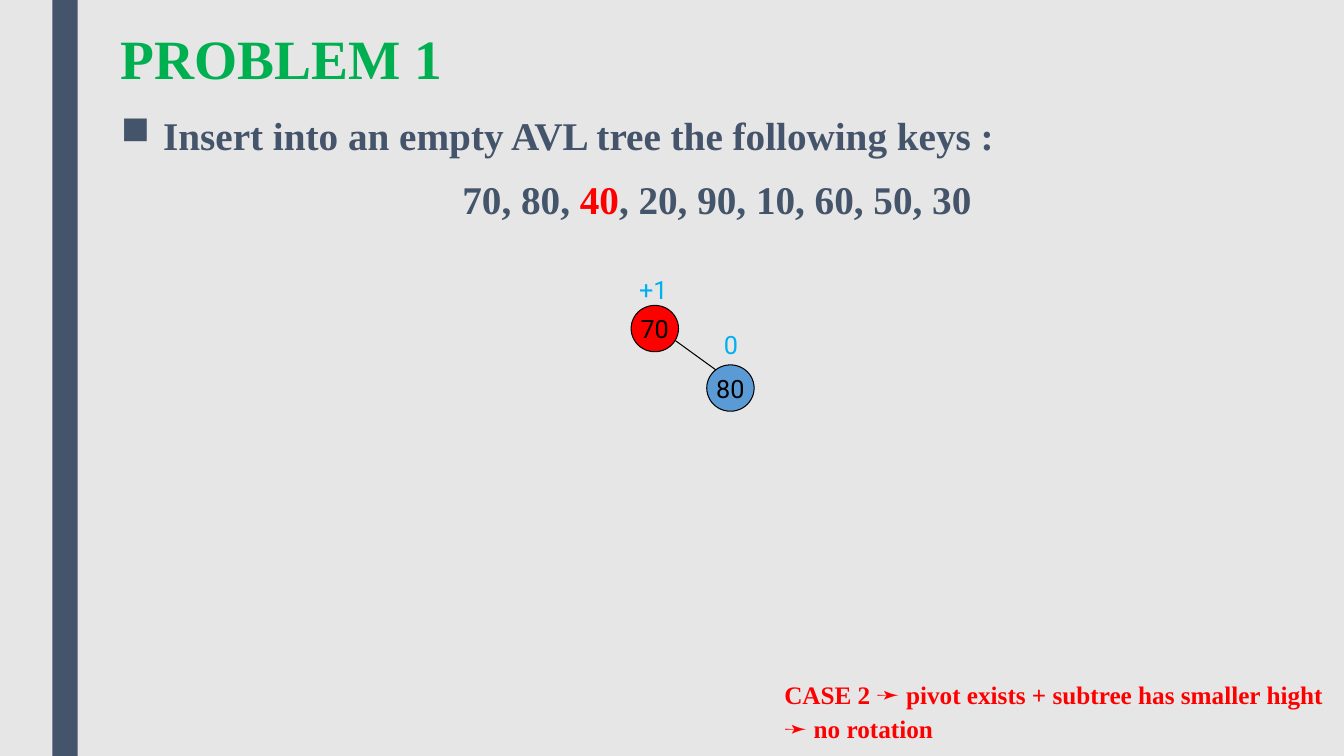
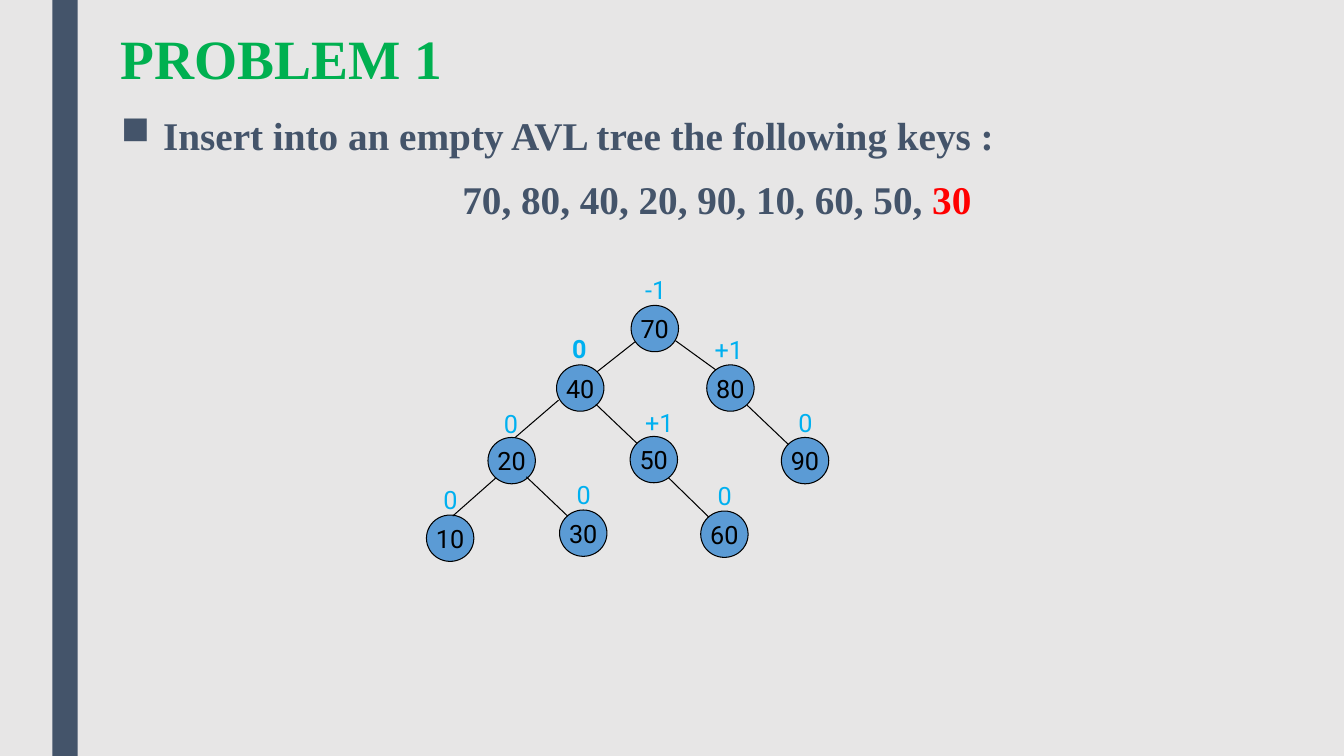
from dataclasses import dataclass

from lxml.etree import SubElement
from pptx import Presentation
from pptx.dml.color import RGBColor
from pptx.enum.shapes import MSO_CONNECTOR as Connector, MSO_SHAPE as Shape
from pptx.enum.text import MSO_ANCHOR as Anchor, MSO_AUTO_SIZE as AutoSize, PP_ALIGN as Align
from pptx.oxml.ns import qn
from pptx.util import Inches, Pt


@dataclass(frozen=True)
class Theme:
    paper: str = "E7E6E6"
    slate: str = "44546A"
    green: str = "00B050"
    red: str = "FF0000"
    blue: str = "5B9BD5"
    sky: str = "00B0F0"
    ink: str = "000000"
    serif: str = "Times New Roman"
    sans: str = "Roboto"
    title_size: float = 39.6
    body_size: int = 28
    small_size: int = 18


theme = Theme()
rgb = RGBColor.from_string

heading_font = {"name": theme.serif, "size": Pt(theme.title_size), "bold": True}
body_font = {"name": theme.serif, "size": Pt(theme.body_size), "bold": True}
note_font = {"name": theme.serif, "size": Pt(theme.small_size), "bold": True}
node_font = {"name": theme.sans, "size": Pt(theme.small_size), "bold": False}


def add_text(paragraph, text, font, color):
    run = paragraph.add_run()
    run.text = text
    for attribute, value in font.items():
        setattr(run.font, attribute, value)
    run.font.color.rgb = rgb(color)


def add_label(slide, left, top, width, text, font, color, align=Align.LEFT):
    frame = slide.shapes.add_textbox(Inches(left), Inches(top), Inches(width), Inches(0.4)).text_frame
    frame.word_wrap = False
    frame.auto_size = AutoSize.SHAPE_TO_FIT_TEXT
    frame.paragraphs[0].alignment = align
    add_text(frame.paragraphs[0], text, font, color)


title_text = "PROBLEM 1"
task = "Insert into an empty AVL tree the following keys :"
keys = "70, 80, 40, 20, 90, 10, 60, 50, 30"

node_places = {
    70: (6.26, 3.03),
    40: (5.52, 3.62),
    80: (7.01, 3.62),
    20: (4.84, 4.34),
    50: (6.25, 4.33),
    90: (7.75, 4.34),
    10: (4.23, 5.11),
    30: (5.55, 5.06),
    60: (6.95, 5.07),
}
edges_to_child = {
    40: (6.3, 3.39, 5.92, 3.69),
    80: (6.7, 3.38, 7.1, 3.67),
    20: (5.54, 3.97, 5.11, 4.34),
    50: (5.91, 4.01, 6.32, 4.4),
    90: (7.41, 4.02, 7.82, 4.41),
    10: (4.92, 4.74, 4.49, 5.12),
    30: (5.22, 4.73, 5.63, 5.12),
    60: (6.63, 4.74, 7.03, 5.13),
}
balance_widths = {"0": 0.35, "+1": 0.5, "-1": 0.41}

steps = [
    {
        "inserted": "40",
        "pivot": 70,
        "changed": None,
        "balances": {70: ("+1", 6.24, 2.67), 80: ("0", 7.08, 3.22)},
        "notes": [
            ("CASE 2 ➛ pivot exists + subtree has smaller hight", 6.69, 5.58),
            ("➛ no rotation", 7.03, 1.68),
        ],
    },
    {
        "inserted": "30",
        "pivot": None,
        "changed": 40,
        "balances": {
            70: ("-1", 6.3, 2.67),
            40: ("0", 5.57, 3.26),
            80: ("+1", 6.99, 3.27),
            20: ("0", 4.9, 4),
            50: ("+1", 6.3, 3.99),
            90: ("0", 7.82, 3.99),
            10: ("0", 4.3, 4.76),
            30: ("0", 5.62, 4.71),
            60: ("0", 7.02, 4.72),
        },
        "notes": [],
    },
]

deck = Presentation()
deck.slide_width, deck.slide_height = Inches(13.33), Inches(7.5)
master_fill = deck.slide_master.background.fill
master_fill.solid()
master_fill.fore_color.rgb = rgb(theme.paper)
layout = deck.slide_layouts[5]

for number, step in enumerate(steps):
    slide = deck.slides.add_slide(layout)

    if number == 0:
        band = slide.shapes.add_shape(Shape.RECTANGLE, Inches(0.52), 0, Inches(0.25), Inches(7.5))
        band.shadow.inherit = False
        band.fill.solid()
        band.fill.fore_color.rgb = rgb(theme.slate)
        band.line.fill.background()
        layout.shapes.element.insert(2, band.element)

    heading = slide.shapes.title
    heading_place = {"left": 1.1, "top": 0.25, "width": 10.5, "height": 0.71}
    for attribute, value in heading_place.items():
        setattr(heading, attribute, Inches(value))
    heading.text_frame.auto_size = AutoSize.NONE
    heading.text_frame.vertical_anchor = Anchor.BOTTOM
    heading_line = heading.text_frame.paragraphs[0]
    heading_line.alignment = Align.LEFT
    heading_line.line_spacing = 0.89
    add_text(heading_line, title_text, heading_font, theme.green)

    body = slide.shapes.add_textbox(Inches(1.1), Inches(1.05), Inches(12.02), Inches(5.78)).text_frame
    body.word_wrap = True
    body.margin_top = Inches(0.09)
    task_line, keys_line = body.paragraphs[0], body.add_paragraph()
    for line in (task_line, keys_line):
        line.line_spacing = 0.94
        line.space_after = Pt(2)
    indent = task_line._p.get_or_add_pPr()
    indent.set("marL", str(Inches(0.42)))
    indent.set("indent", str(-Inches(0.42)))
    SubElement(indent, qn("a:buChar")).set("char", "■")
    add_text(task_line, task, body_font, theme.slate)
    keys_line.alignment = Align.CENTER
    keys_line.space_before = Pt(12)
    for part in keys.partition(step["inserted"]):
        if part:
            part_color = theme.red if part == step["inserted"] else theme.slate
            add_text(keys_line, part, body_font, part_color)

    for key, (balance, balance_left, balance_top) in step["balances"].items():
        left, top = node_places[key]
        node = slide.shapes.add_shape(Shape.OVAL, Inches(left), Inches(top), Inches(0.47), Inches(0.46))
        node.shadow.inherit = False
        node.fill.solid()
        node.fill.fore_color.rgb = rgb(theme.red if key == step["pivot"] else theme.blue)
        node.line.color.rgb = rgb(theme.ink)
        node.line.width = Pt(0.75)
        node.text_frame.word_wrap = False
        node.text_frame.vertical_anchor = Anchor.MIDDLE
        node.text_frame.paragraphs[0].alignment = Align.CENTER
        add_text(node.text_frame.paragraphs[0], str(key), node_font, theme.ink)

        if key in edges_to_child:
            ends = [Inches(value) for value in edges_to_child[key]]
            edge = slide.shapes.add_connector(Connector.STRAIGHT, *ends)
            edge.line.color.rgb = rgb(theme.ink)
            edge.line.width = Pt(0.75)
            SubElement(edge.element.spPr, qn("a:effectLst"))

        balance_font = {**node_font, "bold": key == step["changed"]}
        balance_align = Align.CENTER if key == step["changed"] else Align.LEFT
        add_label(slide, balance_left, balance_top, balance_widths[balance], balance,
                  balance_font, theme.sky, balance_align)

    for note, note_top, note_width in step["notes"]:
        add_label(slide, 7.68, note_top, note_width, note, note_font, theme.red)

deck.save("out.pptx")
